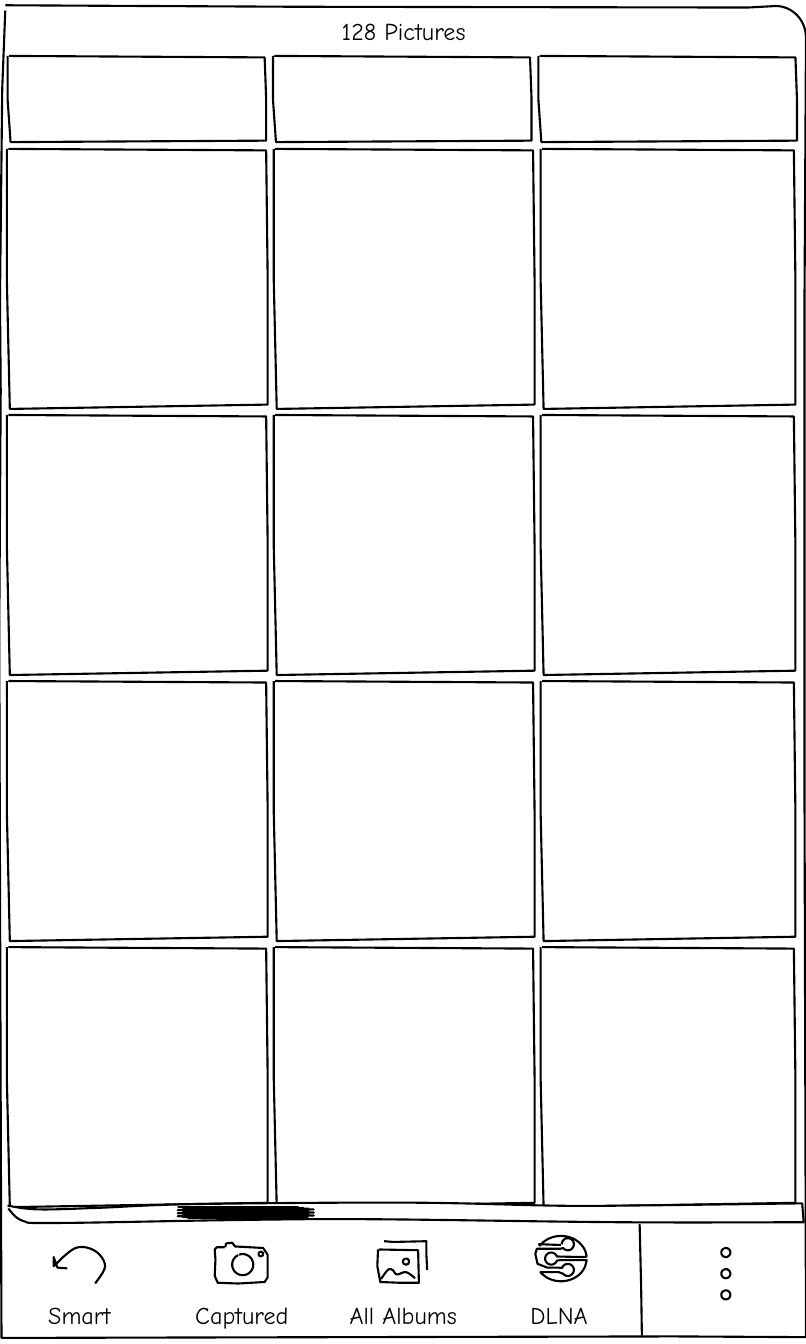
import math
from dataclasses import dataclass

from pptx import Presentation
from pptx import util as u
from pptx.dml import color
from pptx.enum import text

COLORS = {"paper": "FFFFFF", "ink": "000000"}
FRAME_FORMAT = {"margin_left": 0, "margin_right": 0, "margin_top": 0, "margin_bottom": 0,
                "word_wrap": False, "vertical_anchor": text.MSO_ANCHOR.MIDDLE,
                "auto_size": text.MSO_AUTO_SIZE.SHAPE_TO_FIT_TEXT}
FONT_FORMAT = {"name": "Comic Neue", "size": u.Pt(23), "bold": False}
CURVE_STEPS = 6


@dataclass
class Box:
    left: float
    top: float
    width: float
    height: float

    def outline(self) -> list:
        right, bottom, middle = (self.left + self.width, self.top + self.height,
                                 self.top + self.height / 2)
        tilt = self.height / 60
        return [(self.left + 0.02, self.top), (right - 0.02, self.top + 0.02),
                (right - 0.01, self.top + self.height / 4), (right, middle),
                (right, bottom - tilt), (self.left + 0.04, bottom),
                (self.left, middle), (self.left, self.top)]


@dataclass
class Label:
    wording: str
    left: float
    width: float
    top: float = 17.21
    height: float = 0.38


def arc(x: float, y: float, wide: float, high: float, first: int, last: int) -> list:
    angles = [math.radians(first + (last - first) * step / 24) for step in range(25)]
    return [(x + wide * math.cos(angle), y + high * math.sin(angle)) for angle in angles]


def circle(x: float, y: float, radius: float) -> list:
    return arc(x, y, radius, radius, -110, 245)


def smooth(points: list) -> list:
    padded = [points[0], *points, points[-1]]
    result = [points[0]]
    for a, b, c, d in zip(padded, padded[1:], padded[2:], padded[3:]):
        for step in range(1, CURVE_STEPS + 1):
            t = step / CURVE_STEPS
            result.append(tuple(
                b[axis] + t * (c[axis] - a[axis]) / 2
                + t * t * (2 * a[axis] - 5 * b[axis] + 4 * c[axis] - d[axis]) / 2
                + t ** 3 * (3 * b[axis] - a[axis] - 3 * c[axis] + d[axis]) / 2
                for axis in (0, 1)))
    return result


def rgb(name: str) -> color.RGBColor:
    return color.RGBColor.from_string(COLORS[name])


def draw_outline(slide, outline: list) -> None:
    points = [(u.Inches(x), u.Inches(y)) for x, y in outline]
    builder = slide.shapes.build_freeform(*points[0])
    builder.add_line_segments(points[1:], close=False)
    shape = builder.convert_to_shape()
    shape.shadow.inherit = False
    shape.fill.solid()
    shape.fill.fore_color.rgb = rgb("paper")
    shape.line.color.rgb = rgb("ink")
    shape.line.width = u.Pt(2)


def write_label(shape, label: Label) -> None:
    for name in ("left", "top", "width", "height"):
        setattr(shape, name, u.Inches(getattr(label, name)))
    frame = shape.text_frame
    frame.text = label.wording
    paragraph = frame.paragraphs[0]
    paragraph.alignment = text.PP_ALIGN.CENTER
    font = paragraph.runs[0].font
    font.color.rgb = rgb("ink")
    for target, values in ((frame, FRAME_FORMAT), (font, FONT_FORMAT)):
        for name, value in values.items():
            setattr(target, name, value)


screen = [(0.07, 0.07), (3.91, 0.09), (9.89, 0.1),
          *arc(10.26, 0.5, 0.4, 0.42, -90, 0), (10.64, 4), (10.64, 10.4),
          (10.66, 17.69), (8.9, 17.68), (0.02, 17.7), (0.01, 14.66), (-0.01, 8.39),
          (0.01, 5.17), (0, 3.95), (0.03, 1.17), (0.07, 0.14)]
tiles = [Box(0.09 + 3.53 * column, 1.97 + 3.52 * row, width, 3.44).outline()
         for row in range(4) for column, width in enumerate((3.45, 3.45, 3.37))]
header_boxes = [Box(0.1 + 3.51 * column, 0.74, 3.42, 1.14).outline() for column in range(3)]
scroll_bar = [*smooth([(0.1, 15.95), (0.5, 16), (1.29, 15.98), (2.56, 15.93),
                       (5.38, 15.91), (7.3, 15.95), (8.25, 15.95), (10.61, 15.92)]),
              *smooth([(10.63, 16.17), (8.21, 16.17), (4.92, 16.13), (3.16, 16.14),
                       (0.74, 16.18), (0.3, 16.15), (0.11, 15.99)])]
scroll_thumb = [(x + 0.07 * (stroke % 4 - 1), 15.97 + 0.01 * stroke)
                for stroke in range(15) for x in (2.42, 4.01)]
smart_arrow = [*smooth([(1.26, 16.98), (1.39, 16.75), (1.26, 16.55), (1, 16.51),
                        (0.71, 16.75)]), (0.71, 16.63), (0.76, 16.77), (0.89, 16.78)]
camera_body = [(2.97, 16.5), (2.87, 16.5), (2.84, 16.53), (2.85, 16.66), (2.84, 16.88),
               (2.88, 16.97), (3.15, 16.98), (3.5, 16.96), (3.54, 16.9), (3.54, 16.6),
               (3.48, 16.51), (3.11, 16.49), (3.07, 16.44), (2.99, 16.45), (2.98, 16.5)]
album_back = [(5.08, 16.42), (5.2, 16.43), (5.64, 16.42), (5.64, 16.6), (5.65, 16.8)]
album_front = [(5, 16.53), (4.99, 16.75), (5.03, 16.96), (5.28, 16.97), (5.54, 16.97),
               (5.53, 16.54), (5.01, 16.53)]
album_hills = smooth([(5.04, 16.92), (5.13, 16.8), (5.19, 16.8), (5.25, 16.86),
                      (5.37, 16.83), (5.49, 16.91)])
globe = (7.42, 16.65, 0.34, 0.3)
dlna_icon = [*arc(7.51, 16.46, 0.08, 0.08, 180, 500), (7.41, 16.52), (7.1, 16.52),
             (7.08, 16.59), (7.11, 16.72), (7.24, 16.77), (7.39, 16.77),
             *arc(7.51, 16.8, 0.08, 0.08, 200, 500), (7.39, 16.83), (7.15, 16.83),
             *arc(*globe, 143, 20), (7.76, 16.67), (7.41, 16.67),
             *arc(7.29, 16.65, 0.08, 0.08, 20, 340), (7.72, 16.63),
             *arc(*globe, -5, -145), (7.13, 16.46), (7.42, 16.47)]
menu_dots = [circle(9.6, 16.57 + 0.28 * dot, 0.06) for dot in range(3)]
menu_divider = [(8.46, 16.19), (8.48, 17), (8.49, 17.67)]
camera_lens, camera_light = circle(3.21, 16.73, 0.14), circle(3.45, 16.59, 0.03)
album_sun = circle(5.37, 16.69, 0.04)

title_label = Label("128 Pictures", 4.42, 1.84, top=0.22)
tab_labels = [Label("Smart", 0.6, 0.9), Label("Captured", 2.5, 1.4),
              Label("All Albums", 4.54, 1.59), Label("DLNA", 6.97, 0.85)]

presentation = Presentation()
presentation.slide_width, presentation.slide_height = u.Inches(10.66), u.Inches(17.78)
slide = presentation.slides.add_slide(presentation.slide_layouts[5])
for outline in (screen, *tiles, *header_boxes, scroll_bar, scroll_thumb, smart_arrow,
                camera_body, camera_lens, camera_light, album_back, dlna_icon, *menu_dots,
                menu_divider, album_front, album_hills, album_sun):
    draw_outline(slide, outline)
title = slide.shapes.title
title.element.getparent().append(title.element)
write_label(title, title_label)
for label in tab_labels:
    write_label(slide.shapes.add_textbox(0, 0, 0, 0), label)
presentation.save("out.pptx")
